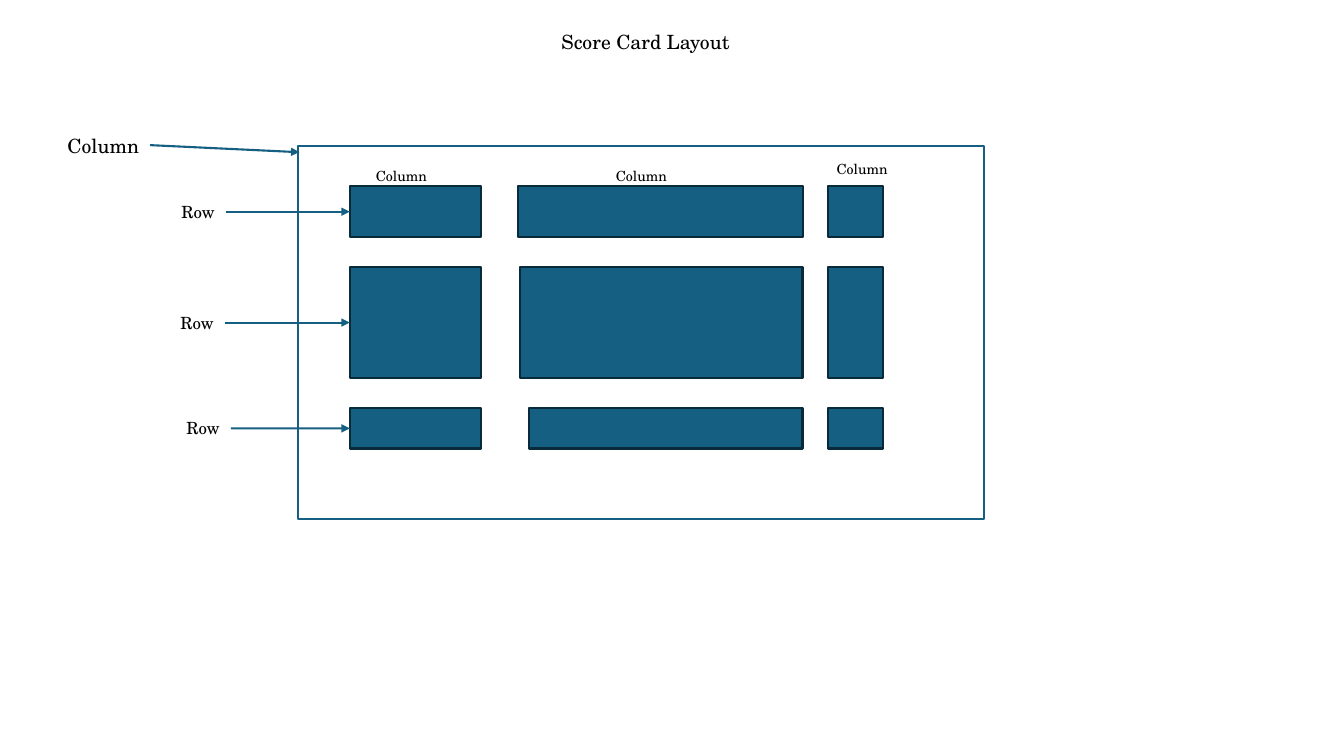
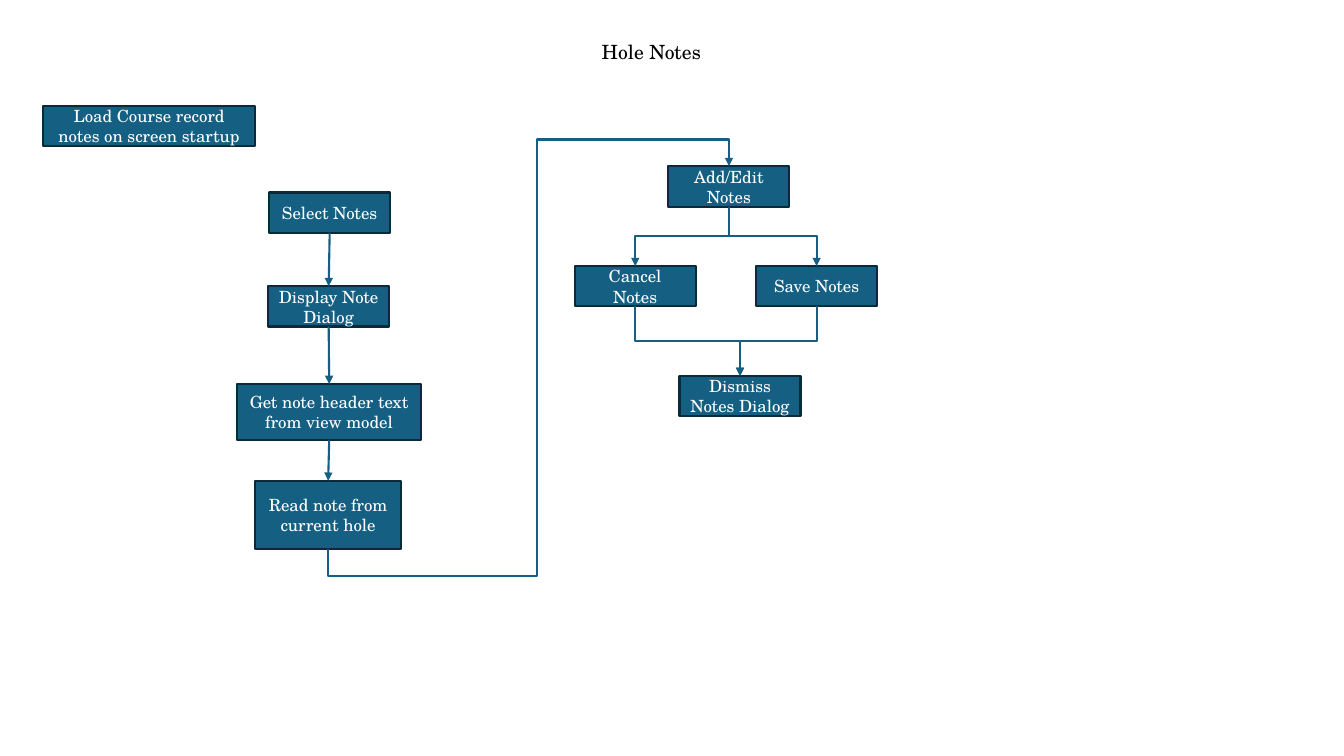
from dataclasses import dataclass

from lxml import etree
from pptx import Presentation
from pptx import util as u
from pptx.dml.color import RGBColor
from pptx.enum import shapes, text
from pptx.oxml import ns

FONT = "TeX Gyre Schola"
BLACK = RGBColor(0x00, 0x00, 0x00)
WHITE = RGBColor(0xFF, 0xFF, 0xFF)
TEAL = RGBColor(0x15, 0x60, 0x82)
NAVY = RGBColor(0x09, 0x2A, 0x39)
LINE_WIDTH = u.Pt(1.5)
TITLE_SIZE = 14
TOP, LEFT, BOTTOM, RIGHT = range(4)


@dataclass(frozen=True)
class Label:
    words: str
    left: float
    top: float
    width: float
    height: float
    size: int


@dataclass(frozen=True)
class Row:
    top: float
    height: float
    middle_left: float
    label_left: float


@dataclass(frozen=True)
class Step:
    words: str
    left: float
    top: float
    width: float = 1.2
    height: float = 0.4


@dataclass(frozen=True)
class Link:
    source: str
    target: str
    bends: tuple[float, ...] = ()


FIRST_LEFT, FIRST_WIDTH = 3.47, 1.3
MIDDLE_RIGHT = 7.96
LAST_LEFT, LAST_WIDTH = 8.21, 0.55
ROW_LABEL_WIDTH, ROW_LABEL_HEIGHT = 0.54, 0.3

ROWS = [
    Row(1.85, 0.5, 5.14, 1.7),
    Row(2.65, 1.1, 5.16, 1.69),
    Row(4.05, 0.4, 5.25, 1.75),
]
COLUMN_LABELS = [
    Label("Column", 0.57, 1.28, 0.92, 0.34, 14),
    Label("Column", 3.63, 1.61, 0.71, 0.27, 10),
    Label("Column", 6.01, 1.61, 0.71, 0.27, 10),
    Label("Column", 8.2, 1.54, 0.71, 0.27, 10),
]

STEPS = [
    Step("Load Course record notes on screen startup", 0.43, 1.05, 2.1),
    Step("Select Notes", 2.67, 1.91),
    Step("Display Note Dialog", 2.66, 2.84),
    Step("Get note header text from view model", 2.35, 3.81, 1.83, 0.56),
    Step("Read note from current hole", 2.53, 4.77, 1.45, 0.68),
    Step("Add/Edit Notes", 6.63, 1.65),
    Step("Cancel Notes", 5.7, 2.64),
    Step("Save Notes", 7.5, 2.64),
    Step("Dismiss Notes Dialog", 6.74, 3.73),
]
HALFWAY = (0.5,)
AROUND = (-0.07, 0.52, 1.07)
LINKS = [
    Link("Select Notes", "Display Note Dialog"),
    Link("Display Note Dialog", "Get note header text from view model"),
    Link("Get note header text from view model", "Read note from current hole"),
    Link("Read note from current hole", "Add/Edit Notes", AROUND),
    Link("Add/Edit Notes", "Cancel Notes", HALFWAY),
    Link("Add/Edit Notes", "Save Notes", HALFWAY),
    Link("Cancel Notes", "Dismiss Notes Dialog", HALFWAY),
    Link("Save Notes", "Dismiss Notes Dialog", HALFWAY),
]


def add_label(page, label: Label):
    box = page.shapes.add_textbox(
        u.Inches(label.left), u.Inches(label.top),
        u.Inches(label.width), u.Inches(label.height),
    )
    frame = box.text_frame
    frame.word_wrap = False
    frame.auto_size = text.MSO_AUTO_SIZE.SHAPE_TO_FIT_TEXT
    write(frame.paragraphs[0], label.words, label.size, BLACK)
    return box


def write(para, words: str, size: int, color: RGBColor) -> None:
    para.text = words
    para.font.name = FONT
    para.font.size = u.Pt(size)
    para.font.color.rgb = color


def add_box(page, left: float, top: float, width: float, height: float,
            fill: RGBColor = TEAL, line: RGBColor = NAVY):
    box = page.shapes.add_shape(
        shapes.MSO_SHAPE.RECTANGLE,
        u.Inches(left), u.Inches(top), u.Inches(width), u.Inches(height),
    )
    box.shadow.inherit = False
    box.fill.solid()
    box.fill.fore_color.rgb = fill
    box.line.color.rgb = line
    box.line.width = LINE_WIDTH
    return box


def add_step(page, step: Step):
    box = add_box(page, step.left, step.top, step.width, step.height)
    frame = box.text_frame
    frame.word_wrap = True
    frame.vertical_anchor = text.MSO_ANCHOR.MIDDLE
    para = frame.paragraphs[0]
    para.alignment = text.PP_ALIGN.CENTER
    write(para, step.words, 12, WHITE)
    return box


def add_arrow(page, start: tuple[float, float] = (0, 0),
              end: tuple[float, float] = (0, 0),
              kind=shapes.MSO_CONNECTOR.STRAIGHT):
    arrow = page.shapes.add_connector(
        kind, *(u.Inches(value) for value in (*start, *end))
    )
    arrow.line.color.rgb = TEAL
    arrow.line.width = LINE_WIDTH
    properties = arrow.element.spPr
    outline = properties.find(ns.qn("a:ln"))
    etree.SubElement(outline, ns.qn("a:tailEnd"), type="triangle")
    etree.SubElement(properties, ns.qn("a:effectLst"))
    return arrow


def bend_vertically(arrow, bends: tuple[float, ...]) -> None:
    across = arrow.end_x - arrow.begin_x
    down = arrow.end_y - arrow.begin_y
    center_x = (arrow.begin_x + arrow.end_x) // 2
    center_y = (arrow.begin_y + arrow.end_y) // 2
    arrow.width, arrow.height = abs(down), abs(across)
    arrow.left = center_x - abs(down) // 2
    arrow.top = center_y - abs(across) // 2
    if across > 0 and down > 0:
        turn, flip_h, flip_v = 270, True, False
    else:
        turn, flip_h, flip_v = 90, down < 0, across > 0
    properties = arrow.element.spPr
    frame = properties.find(ns.qn("a:xfrm"))
    frame.set("rot", str(turn * 60000))
    frame.set("flipH", str(int(flip_h)))
    frame.set("flipV", str(int(flip_v)))
    geometry = properties.find(ns.qn("a:prstGeom"))
    geometry.set("prst", f"bentConnector{len(bends) + 2}")
    guides = geometry.find(ns.qn("a:avLst"))
    if guides is None:
        guides = etree.SubElement(geometry, ns.qn("a:avLst"))
    for number, bend in enumerate(bends, 1):
        etree.SubElement(guides, ns.qn("a:gd"), name=f"adj{number}",
                         fmla=f"val {round(bend * 100000)}")


def connect(page, source, source_side: int, target, target_side: int,
            bends: tuple[float, ...] = ()) -> None:
    kind = shapes.MSO_CONNECTOR.ELBOW if bends else shapes.MSO_CONNECTOR.STRAIGHT
    arrow = add_arrow(page, kind=kind)
    arrow.begin_connect(source, source_side)
    arrow.end_connect(target, target_side)
    if bends:
        bend_vertically(arrow, bends)


def add_page(deck, title: Label):
    page = deck.slides.add_slide(deck.slide_layouts[6])
    add_label(page, title)
    return page


def build_score_card(deck) -> None:
    page = add_page(
        deck, Label("Score Card Layout", 5.47, 0.25, 1.9, 0.34, TITLE_SIZE))
    add_box(page, 2.96, 1.45, 6.8, 3.7, fill=WHITE, line=TEAL)
    for row in ROWS:
        first = add_box(page, FIRST_LEFT, row.top, FIRST_WIDTH, row.height)
        add_box(page, row.middle_left, row.top,
                MIDDLE_RIGHT - row.middle_left, row.height)
        add_box(page, LAST_LEFT, row.top, LAST_WIDTH, row.height)
        label_top = row.top + (row.height - ROW_LABEL_HEIGHT) / 2
        label = add_label(page, Label("Row", row.label_left, label_top,
                                      ROW_LABEL_WIDTH, ROW_LABEL_HEIGHT, 12))
        connect(page, label, RIGHT, first, LEFT)
    for label in COLUMN_LABELS:
        add_label(page, label)
    add_arrow(page, (1.49, 1.44), (2.97, 1.51))


def build_hole_notes(deck) -> None:
    page = add_page(
        deck, Label("Hole Notes", 5.87, 0.35, 1.2, 0.34, TITLE_SIZE))
    boxes = {step.words: add_step(page, step) for step in STEPS}
    for link in LINKS:
        connect(page, boxes[link.source], BOTTOM,
                boxes[link.target], TOP, link.bends)


def main() -> None:
    deck = Presentation()
    deck.slide_width = u.Inches(13.33)
    deck.slide_height = u.Inches(7.5)
    build_score_card(deck)
    build_hole_notes(deck)
    deck.save("out.pptx")


if __name__ == "__main__":
    main()
